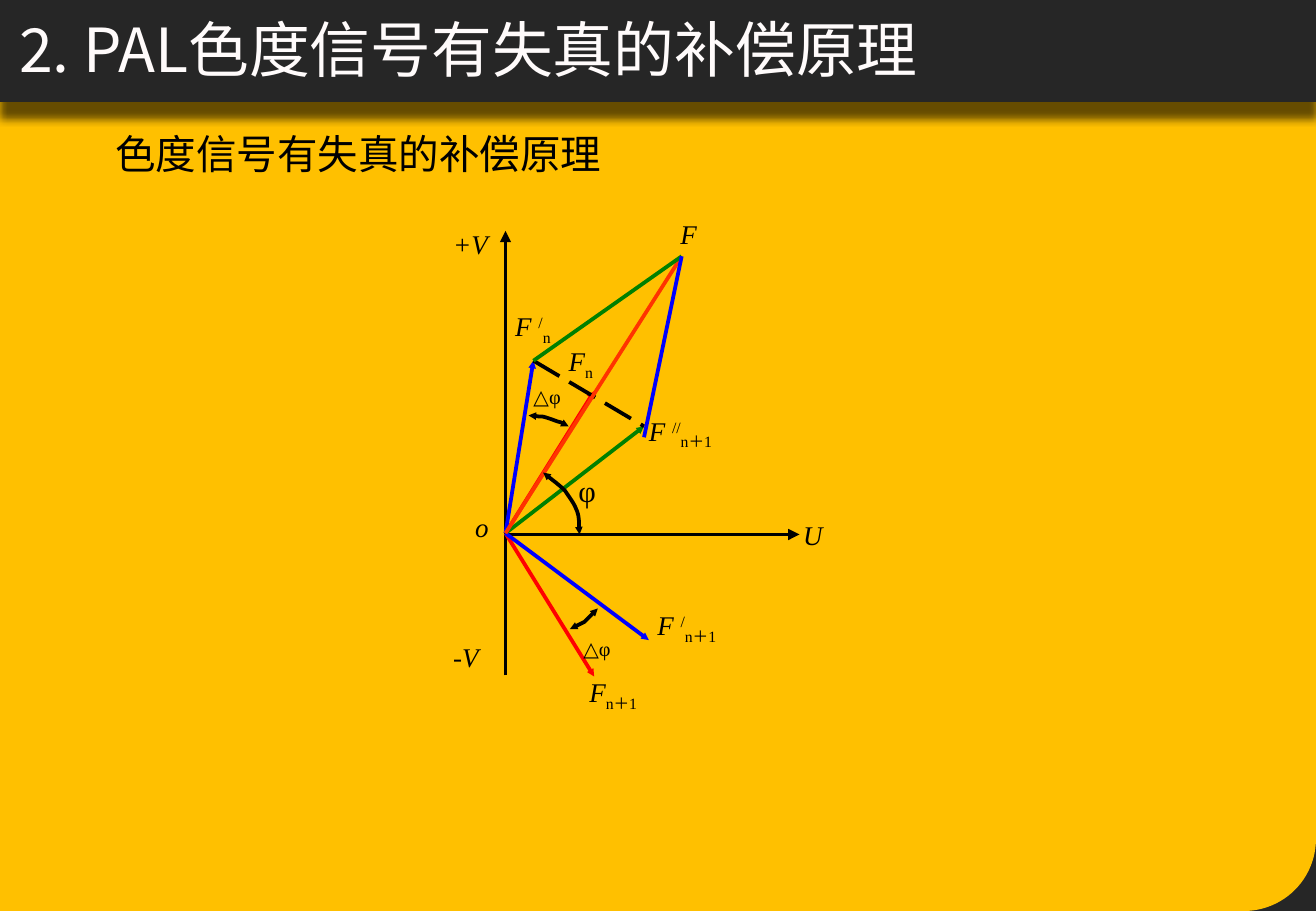
from lxml import etree
from pptx import Presentation
from pptx.dml.color import RGBColor
from pptx.enum.dml import MSO_LINE
from pptx.enum.shapes import MSO_CONNECTOR, MSO_SHAPE
from pptx.enum.text import MSO_ANCHOR
from pptx.oxml import parse_xml
from pptx.oxml.ns import nsdecls, qn
from pptx.util import Inches, Pt

SERIF, SANS = "Times New Roman", "Noto Sans CJK SC"
DARK, GOLD, PALE, BLACK = "262626", "FFC000", "FFFBFB", "000000"
RED, GREEN, BLUE = "FF0000", "008000", "0000FF"


def rgb(code):
    return RGBColor.from_string(code)


def write(box, runs, pad=None, anchor=MSO_ANCHOR.TOP):
    """Add a text box; each run is (text, baseline shift, font values)."""
    frame = slide.shapes.add_textbox(*map(Inches, box)).text_frame
    frame.word_wrap = True
    frame.vertical_anchor = anchor
    if pad is not None:
        for side in ("left", "right", "top", "bottom"):
            setattr(frame, "margin_" + side, pad)
    for text, shift, look in runs:
        run = frame.paragraphs[0].add_run()
        run.text = text
        color = look.get("color", BLACK)
        run.font.color.rgb = rgb(color)
        for key in ("name", "size", "italic"):
            setattr(run.font, key, look.get(key))
        props = run.font._element
        etree.SubElement(props, qn("a:ea"), typeface=SANS)
        if shift:
            props.set("baseline", str(shift * 1000))


prs = Presentation()
prs.slide_width, prs.slide_height = Inches(10.83), Inches(7.5)
slide = prs.slides.add_slide(prs.slide_layouts[6])
slide.background.fill.solid()
slide.background.fill.fore_color.rgb = rgb(PALE)

# Backdrop: dark base, gold panel with one round corner, title bar
panels = [
    (MSO_SHAPE.RECTANGLE, 0.84, 6.66, DARK),
    (MSO_SHAPE.ROUND_1_RECTANGLE, 0.84, 6.66, GOLD),
    (MSO_SHAPE.RECTANGLE, 0, 0.84, DARK),
]
for kind, top, high, color in panels:
    panel = slide.shapes.add_shape(kind, 0, Inches(top), prs.slide_width, Inches(high))
    panel.shadow.inherit = False
    panel.fill.solid()
    panel.fill.fore_color.rgb = rgb(color)
    panel.line.fill.background()
    if kind == MSO_SHAPE.ROUND_1_RECTANGLE:
        panel.adjustments[0] = 0.089
        panel.rotation = 180
        panel._element.spPr.find(qn("a:xfrm")).set("flipH", "1")

bar = panel
bar._element.spPr.find(qn("a:effectLst")).append(parse_xml(
    f'<a:outerShdw {nsdecls("a")} blurRad="{Inches(0.07)}" dist="{Inches(0.13)}"'
    ' dir="5400000" algn="t" rotWithShape="0"><a:srgbClr val="000000">'
    '<a:alpha val="60000"/></a:srgbClr></a:outerShdw>'))

title = dict(size=Pt(36), color=PALE)
write((0.06, -0.11, 9.75, 1.01),
      [("2. PAL", 0, dict(title, name=SANS)),
       ("色度信号有失真的补偿原理", 0, dict(title, name=SERIF))],
      anchor=MSO_ANCHOR.MIDDLE)
write((0.85, 1.01, 6.78, 0.5),
      [("色度信号有失真的补偿原理", 0, dict(name=SERIF, size=Pt(24)))])

# Axes, vectors and the parallelogram: start, end, colour, head size
zero, prime, second, total = (4.16, 4.39), (4.39, 2.97), (5.3, 3.51), (5.61, 2.11)
lines = [
    ((4.16, 4.4), (6.58, 4.4), BLACK, "med"),
    ((4.16, 5.56), (4.16, 1.9), BLACK, "med"),
    (zero, (4.89, 3.22), RED, "sm"),
    (zero, (4.89, 5.57), RED, "sm"),
    (zero, second, GREEN, "sm"),
    (zero, prime, BLUE, "sm"),
    (zero, (5.34, 5.27), BLUE, "sm"),
    (prime, second, BLACK, None),
    (zero, total, "FF3300", "sm"),
    (prime, total, GREEN, None),
    ((5.3, 3.6), total, BLUE, None),
]
strokes = []
for start, end, color, head in lines:
    link = slide.shapes.add_connector(
        MSO_CONNECTOR.STRAIGHT, *map(Inches, start + end))
    etree.SubElement(link._element.spPr, qn("a:effectLst"))
    if (start, end) == (prime, second):
        link.line.dash_style = MSO_LINE.LONG_DASH
    strokes.append((link, color, {"tailEnd": head} if head else {}))

# Angle arcs: a start point, then three points for each Bezier part
arcs = [
    [(4.47, 3.89), (4.53, 3.94), (4.6, 3.99), (4.65, 4.04), (4.69, 4.1),
     (4.73, 4.15), (4.75, 4.21), (4.77, 4.27), (4.76, 4.38), (4.77, 4.4)],
    [(4.35, 3.42), (4.39, 3.42), (4.43, 3.43), (4.47, 3.43), (4.51, 3.44),
     (4.56, 3.46), (4.59, 3.47), (4.63, 3.48), (4.66, 3.5), (4.68, 3.51)],
    [(4.69, 5.18), (4.73, 5.16), (4.77, 5.14), (4.81, 5.12), (4.84, 5.09),
     (4.9, 5.03), (4.92, 5.01)],
]
for arc in arcs:
    dots = [(Inches(x), Inches(y)) for x, y in arc]
    form = slide.shapes.build_freeform(*dots[0])
    form.add_line_segments(dots[1:], close=False)
    curve = form.convert_to_shape()
    curve.shadow.inherit = False
    curve.fill.background()
    steps = list(curve._element.iter(qn("a:lnTo")))
    for first, mid, last in zip(steps[::3], steps[1::3], steps[2::3]):
        first.tag = qn("a:cubicBezTo")
        for step in (mid, last):
            first.append(step[0])
            step.getparent().remove(step)
    strokes.append((curve, BLACK, {"headEnd": "sm", "tailEnd": "sm"}))

for shape, color, heads in strokes:
    shape.line.color.rgb = rgb(color)
    shape.line.width = Pt(2.25)
    for tag, size in heads.items():
        etree.SubElement(shape.line._get_or_add_ln(), qn("a:" + tag),
                         type="triangle", w=size, len=size)

# Labels: box, size, main text, superscript, subscript
labels = [
    ((4.85, 5.56, 0.65, 0.38), 16, "F", "", "n＋1"),
    ((4.76, 3.89, 0.33, 0.31), 18, "φ", "", ""),
    ((6.61, 4.27, 0.36, 0.26), 16, "U", "", ""),
    ((4.68, 2.84, 0.24, 0.26), 16, "F", "", "n"),
    ((3.91, 4.2, 0.18, 0.31), 16, "o", "", ""),
    ((3.73, 1.87, 0.36, 0.26), 16, "+V", "", ""),
    ((3.73, 5.27, 0.36, 0.26), 16, "-V", "", ""),
    ((5.34, 3.41, 0.77, 0.38), 16, "F ", "//", "n＋1"),
    ((4.39, 3.16, 0.39, 0.15), 12, "△φ", "", ""),
    ((4.24, 2.55, 0.44, 0.42), 16, "F ", "/", "n"),
    ((5.41, 5.01, 0.77, 0.38), 16, "F ", "/", "n＋1"),
    ((4.8, 5.24, 0.39, 0.15), 12, "△φ", "", ""),
    ((5.6, 1.79, 0.19, 0.27), 16, "F", "", ""),
]
for box, size, main, over, under in labels:
    look = dict(name=SERIF, size=Pt(size))
    runs = [(main, 0, dict(look, italic="φ" not in main)),
            (over, 30, look), (under, -25, look)]
    write(box, [run for run in runs if run[0]], pad=0)

prs.save("out.pptx")
